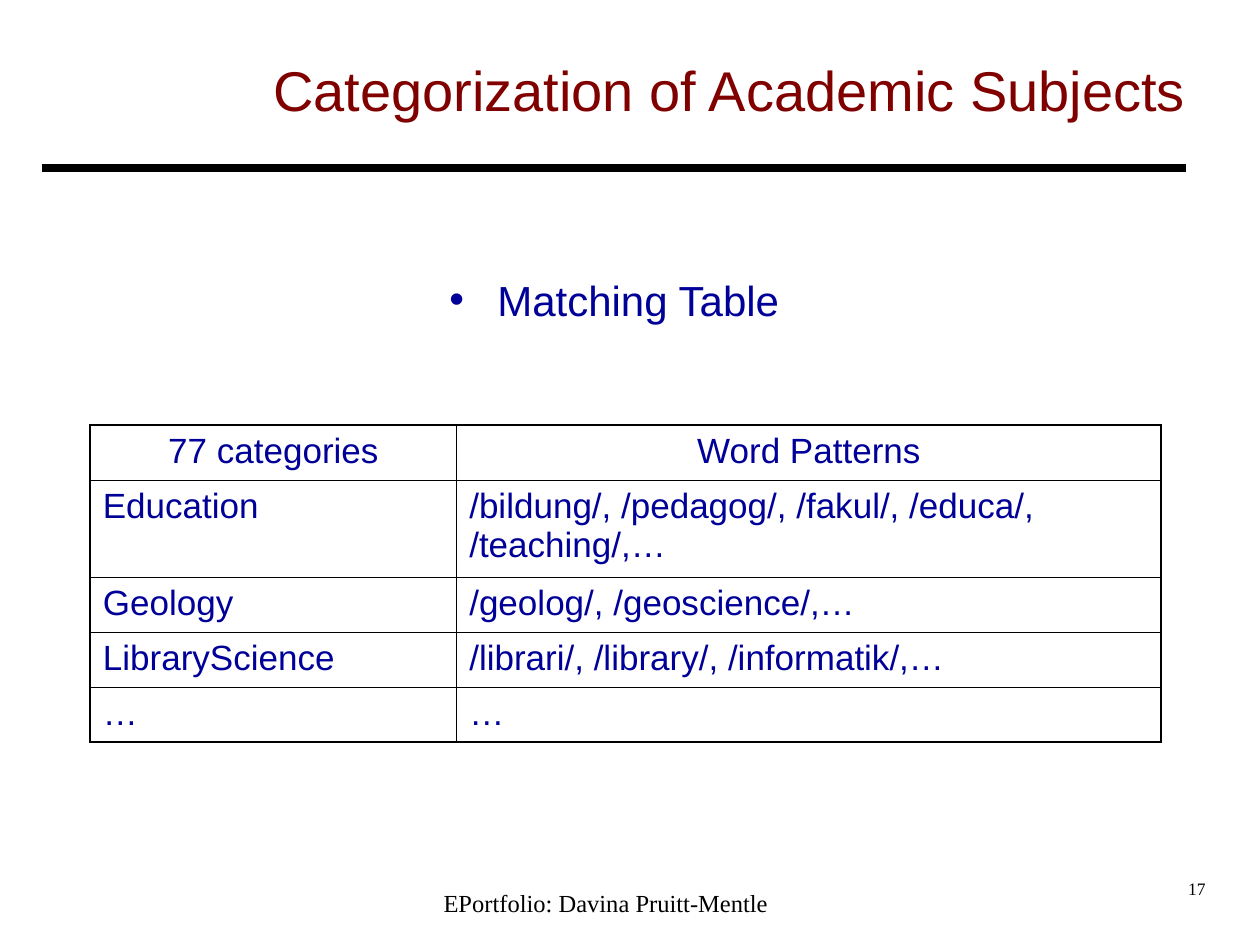
from dataclasses import dataclass

from lxml.etree import SubElement
from pptx import Presentation
from pptx.dml.color import RGBColor
from pptx.enum.shapes import MSO_CONNECTOR
from pptx.enum.text import MSO_ANCHOR, PP_ALIGN
from pptx.oxml.ns import qn
from pptx.util import Inches, Pt


@dataclass(frozen=True)
class TextStyle:
    size: int
    font: str
    color: RGBColor


@dataclass(frozen=True)
class Theme:
    black: RGBColor = RGBColor(0, 0, 0)
    title: TextStyle = TextStyle(32, "Arial", RGBColor(0x80, 0, 0))
    body: TextStyle = TextStyle(24, "Arial", RGBColor(0, 0, 0x99))
    cell: TextStyle = TextStyle(20, "Arial", RGBColor(0, 0, 0x99))
    footer: TextStyle = TextStyle(14, "Times New Roman", black)
    number: TextStyle = TextStyle(10, "Times New Roman", black)
    rule: float = 4.5
    outer_border: float = 1.08
    inner_border: float = 0.45


@dataclass(frozen=True)
class Area:
    left: float
    top: float
    width: float
    height: float

    def lengths(self) -> list[int]:
        return [grid(units) for units in (self.left, self.top, self.width, self.height)]


@dataclass(frozen=True)
class Label:
    text: str
    area: Area
    style: TextStyle
    align: PP_ALIGN = PP_ALIGN.CENTER
    anchor: MSO_ANCHOR = MSO_ANCHOR.TOP
    space_before: int = 0
    bullet: str = ""


THEME = Theme()
GRID_PER_INCH = 12
COLUMNS, ROWS = 120, 90
LABELS = [
    Label("Categorization of Academic Subjects", Area(22, 2, 95, 13), THEME.title,
          anchor=MSO_ANCHOR.MIDDLE),
    Label("Matching Table", Area(7.5, 25.5, 102, 6), THEME.body,
          anchor=MSO_ANCHOR.MIDDLE, space_before=6, bullet="•"),
    Label("EPortfolio: Davina Pruitt-Mentle ", Area(39, 84, 38, 4), THEME.footer),
    Label("17", Area(89, 83, 27, 5), THEME.number, PP_ALIGN.RIGHT),
]
SUBJECTS = [
    ("77 categories", "Word Patterns"),
    ("Education", "/bildung/, /pedagog/, /fakul/, /educa/, /teaching/,…"),
    ("Geology", "/geolog/, /geoscience/,…"),
    ("LibraryScience", "/librari/, /library/, /informatik/,…"),
    ("…", "…"),
]
SUBJECT_WIDTHS = (34.9, 67.1)
SUBJECT_HEIGHTS = (5.24, 9.24, 5.24, 5.24, 5.24)


def grid(units: float) -> int:
    return Inches(units / GRID_PER_INCH)


def style_paragraph(para, text: str, style: TextStyle, align: PP_ALIGN, space: int) -> None:
    para.add_run().text = text
    para.alignment = align
    para.space_before = Pt(space)
    para.font.size = Pt(style.size)
    para.font.name = style.font
    para.font.color.rgb = style.color
    for span in para.runs:
        span.font.size = Pt(style.size)
        span.font.name = style.font
        span.font.color.rgb = style.color


def add_bullet(para, mark: str, color: RGBColor) -> None:
    properties = para._p.get_or_add_pPr()
    indent = Inches(0.38)
    properties.set("marL", str(indent))
    properties.set("indent", str(-indent))
    defaults = properties.find(qn("a:defRPr"))
    bullet_color = SubElement(properties, qn("a:buClr"))
    SubElement(bullet_color, qn("a:srgbClr"), val=str(color))
    SubElement(properties, qn("a:buFont"), typeface="Arial")
    SubElement(properties, qn("a:buChar"), char=mark)
    properties.append(defaults)


def add_label(page, label: Label) -> None:
    box = page.shapes.add_textbox(*label.area.lengths())
    frame = box.text_frame
    frame.word_wrap = True
    frame.vertical_anchor = label.anchor
    para = frame.paragraphs[0]
    style_paragraph(para, label.text, label.style, label.align, label.space_before)
    if label.bullet:
        add_bullet(para, label.bullet, label.style.color)


def add_rule(page) -> None:
    rule = page.shapes.add_connector(
        MSO_CONNECTOR.STRAIGHT, grid(4), grid(16), grid(113), grid(16))
    rule.line.color.rgb = THEME.black
    rule.line.width = Pt(THEME.rule)
    SubElement(rule._element.spPr, qn("a:effectLst"))


def set_border(cell, side: str, width: float) -> None:
    properties = cell._tc.get_or_add_tcPr()
    border = SubElement(properties, qn(f"a:{side}"), w=str(Pt(width)))
    fill = SubElement(border, qn("a:solidFill"))
    SubElement(fill, qn("a:srgbClr"), val=str(THEME.black))


def add_subject_table(page) -> None:
    area = Area(8.6, 40.5, sum(SUBJECT_WIDTHS), sum(SUBJECT_HEIGHTS))
    row_count, column_count = len(SUBJECTS), len(SUBJECT_WIDTHS)
    table = page.shapes.add_table(row_count, column_count, *area.lengths()).table
    table.first_row = table.horz_banding = False
    for column, width in zip(table.columns, SUBJECT_WIDTHS):
        column.width = grid(width)
    for row, height in zip(table.rows, SUBJECT_HEIGHTS):
        row.height = grid(height)
    for row_index, texts in enumerate(SUBJECTS):
        align = PP_ALIGN.LEFT if row_index else PP_ALIGN.CENTER
        for column_index, text in enumerate(texts):
            cell = table.cell(row_index, column_index)
            style_paragraph(cell.text_frame.paragraphs[0], text, THEME.cell, align, 5)
            outer_sides = {
                "lnL": column_index == 0,
                "lnR": column_index == column_count - 1,
                "lnT": row_index == 0,
                "lnB": row_index == row_count - 1,
            }
            for side, is_outer in outer_sides.items():
                set_border(cell, side, THEME.outer_border if is_outer else THEME.inner_border)
            cell.fill.background()


def main() -> None:
    deck = Presentation()
    deck.slide_width, deck.slide_height = grid(COLUMNS), grid(ROWS)
    page = deck.slides.add_slide(deck.slide_layouts[6])
    add_rule(page)
    add_subject_table(page)
    for label in LABELS:
        add_label(page, label)
    deck.save("out.pptx")


if __name__ == "__main__":
    main()
